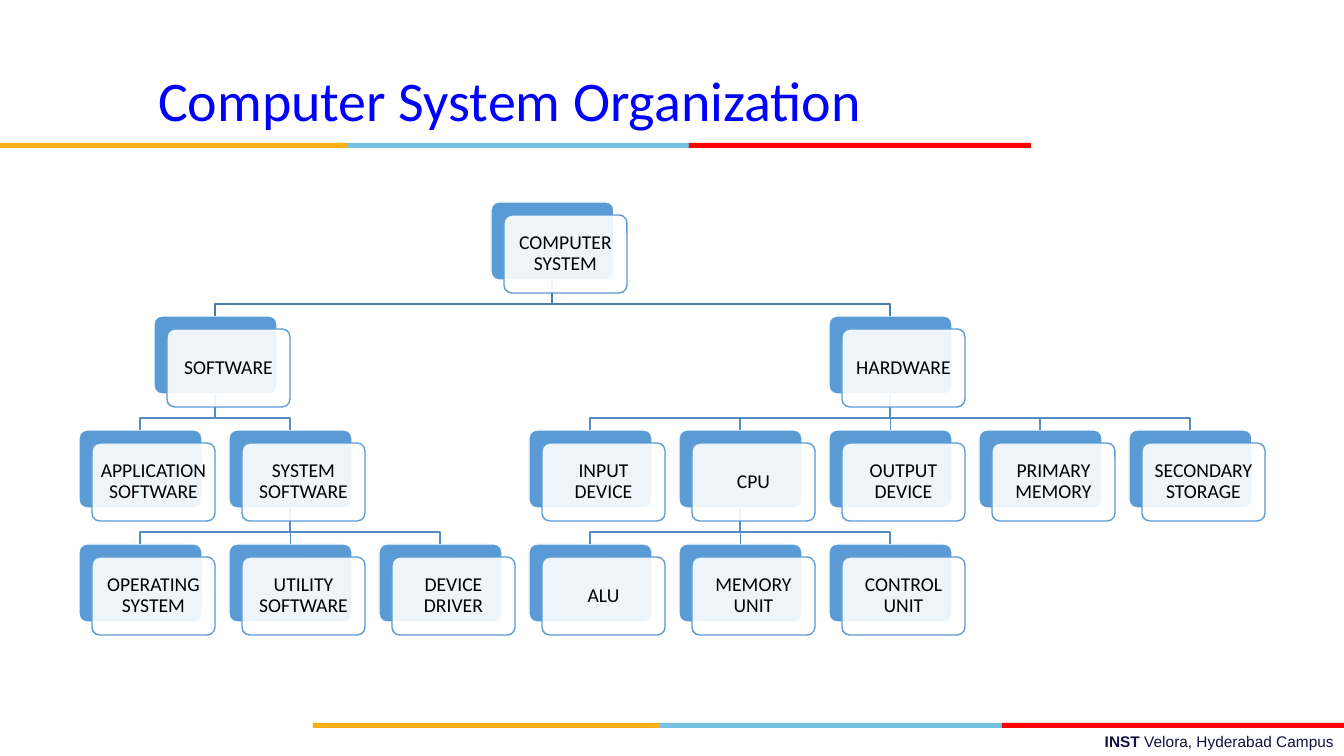
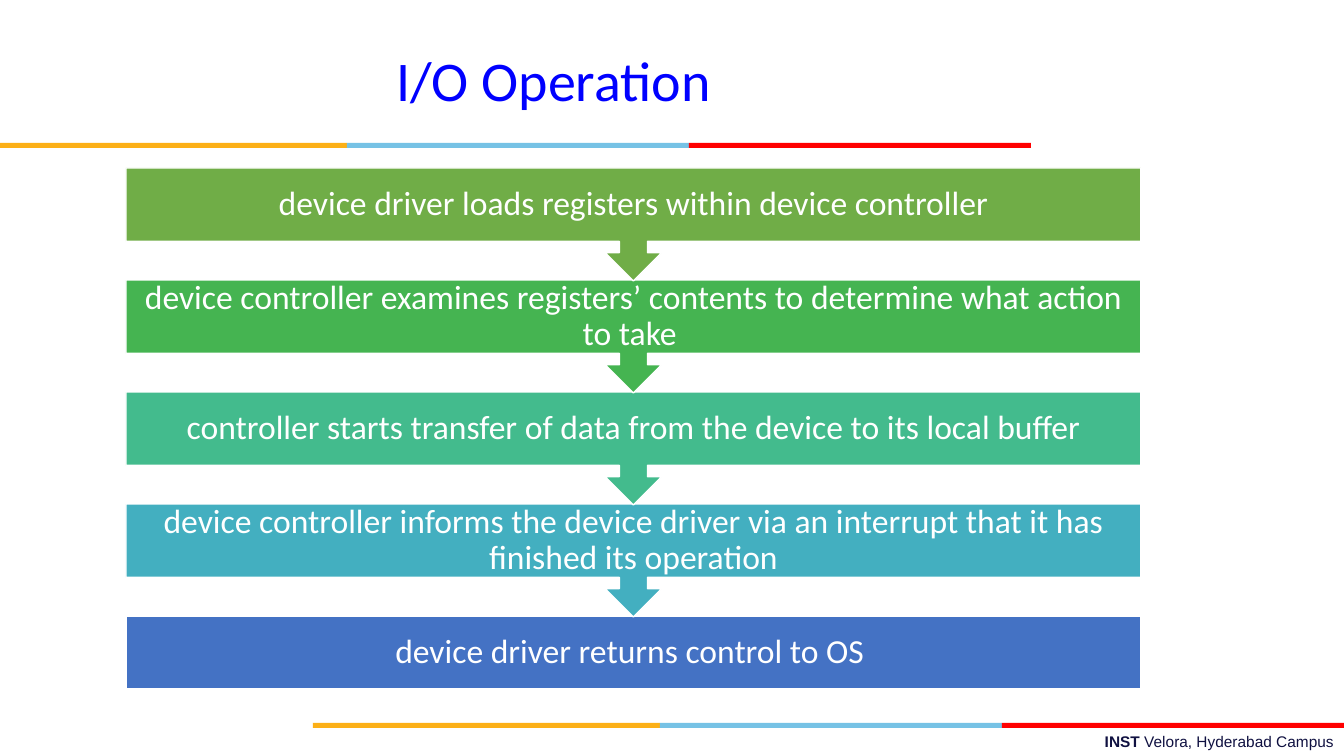
from dataclasses import dataclass

from lxml.etree import SubElement
from pptx import Presentation
from pptx.dml.color import RGBColor as RGB
from pptx.enum.shapes import MSO_CONNECTOR as CONN, MSO_SHAPE as SHAPE
from pptx.enum.text import MSO_ANCHOR as ANCHOR, MSO_AUTO_SIZE as AUTOSIZE, PP_ALIGN as ALIGN
from pptx.oxml.ns import qn
from pptx.util import Pt


@dataclass(frozen=True)
class Theme:
    bands: tuple = (("FCB017", 347), ("76C2E5", 342), ("FF0000", 342))
    steps: tuple = ("70AD47", "45B451", "43BB8D", "43AFC0", "4472C4")
    title: str = "0000FF"
    footer: str = "101141"
    white: str = "FFFFFF"
    black: str = "000000"
    node: str = "5B9BD5"
    top_link: str = "497CAB"
    link: str = "538DC1"
    head_font: str = "Calibri"
    foot_font: str = "Arial"
    title_size: int = 40
    step_size: int = 24
    node_size: int = 14
    foot_size: int = 11


T = Theme()
PX = 914400 / 100.8


def add_box(s, kind, box, fill, line=None):
    sp = s.shapes.add_shape(kind, *(round(v * PX) for v in box))
    sp.shadow.inherit = False
    sp.fill.solid()
    sp.fill.fore_color.rgb = RGB.from_string(fill)
    if line:
        sp.line.color.rgb = RGB.from_string(line)
        sp.line.width = Pt(1)
    else:
        sp.line.fill.background()
    return sp


def add_text(sp, runs, size, color, font=T.head_font, align=ALIGN.CENTER, inset=None, spacing=None):
    tf = sp.text_frame
    tf.word_wrap = True
    tf.auto_size = AUTOSIZE.NONE
    tf.vertical_anchor = ANCHOR.MIDDLE
    if inset is not None:
        tf.margin_left = tf.margin_right = round(inset * PX)
        tf.margin_top = tf.margin_bottom = 0
    p = tf.paragraphs[0]
    p.alignment = align
    if spacing:
        p.line_spacing = spacing
    for text, bold in runs:
        r = p.add_run()
        r.text = text
        r.font.name = font
        r.font.size = Pt(size)
        r.font.bold = bold
        r.font.color.rgb = RGB.from_string(color)


prs = Presentation()
prs.slide_width, prs.slide_height = round(1344 * PX), round(756 * PX)
layout = prs.slide_layouts[5]

# Slides and titles
slides = []
for title, left, top in (("Computer System Organization", 45, 55), ("I/O Operation", 89, 35)):
    s = prs.slides.add_slide(layout)
    sp = s.shapes.title
    sp.left, sp.top, sp.width, sp.height = (round(v * PX) for v in (left, top, 929, 89))
    add_text(sp, [(title, False)], T.title_size, T.title)
    slides.append(s)
chart, flow = slides

# Colour bands and footer, moved to the shared layout
shared = []
for x, y in ((0, 143), (313, 723)):
    for color, width in T.bands:
        shared.append(add_box(chart, SHAPE.RECTANGLE, (x, y, width, 5), color))
        x += width
footer = chart.shapes.add_textbox(*(round(v * PX) for v in (482, 727, 862, 29)))
add_text(footer, [("INST ", True), ("Velora, Hyderabad Campus", False)],
         T.foot_size, T.footer, T.foot_font, ALIGN.RIGHT)
shared.append(footer)
for number, sp in enumerate(shared, 101):
    sp.element.xpath(".//p:cNvPr")[0].set("id", str(number))
    layout.shapes.element.append(sp.element)

# Slide 1: tree nodes as text, column, row, index of parent
NODES = (
    ("COMPUTER SYSTEM", 2.75, 0, None),
    ("SOFTWARE", 0.5, 1, 0),
    ("HARDWARE", 5, 1, 0),
    ("APPLICATION SOFTWARE", 0, 2, 1),
    ("SYSTEM SOFTWARE", 1, 2, 1),
    ("INPUT DEVICE", 3, 2, 2),
    ("CPU", 4, 2, 2),
    ("OUTPUT DEVICE", 5, 2, 2),
    ("PRIMARY MEMORY", 6, 2, 2),
    ("SECONDARY STORAGE", 7, 2, 2),
    ("OPERATING SYSTEM", 0, 3, 4),
    ("UTILITY SOFTWARE", 1, 3, 4),
    ("DEVICE DRIVER", 2, 3, 4),
    ("ALU", 3, 3, 6),
    ("MEMORY UNIT", 4, 3, 6),
    ("CONTROL UNIT", 5, 3, 6),
)
NODE_W, NODE_H = 123, 78
spots = [(79 + int(col * 150), 202 + row * 114) for _, col, row, _ in NODES]

# Back cards
backs = []
for x, y in spots:
    sp = add_box(chart, SHAPE.ROUNDED_RECTANGLE, (x, y, NODE_W, NODE_H), T.node, T.white)
    sp.adjustments[0] = 0.1
    backs.append(sp)

# Links from parent to child
for i, (_, _, row, parent) in enumerate(NODES):
    if parent is None:
        continue
    x1, y1 = spots[parent][0] + NODE_W // 2, spots[parent][1] + NODE_H
    x2, y2 = spots[i][0] + NODE_W // 2, spots[i][1]
    if x1 == x2:
        link = chart.shapes.add_connector(CONN.STRAIGHT, 0, 0, 0, 0)
        link.begin_connect(backs[parent], 2)
        link.end_connect(backs[i], 0)
        SubElement(link.element.spPr, qn("a:effectLst"))
    else:
        bends = [(x1, y1 + 24), (x2, y1 + 24), (x2, y2)]
        fb = chart.shapes.build_freeform(round(x1 * PX), round(y1 * PX))
        fb.add_line_segments([(round(x * PX), round(y * PX)) for x, y in bends], close=False)
        link = fb.convert_to_shape()
        link.shadow.inherit = False
        link.fill.background()
    link.line.color.rgb = RGB.from_string(T.top_link if row == 1 else T.link)
    link.line.width = Pt(1)

# Front cards with the labels
for (label, *_), (x, y) in zip(NODES, spots):
    sp = add_box(chart, SHAPE.ROUNDED_RECTANGLE, (x + 13, y + 13, NODE_W, NODE_H), T.white, T.node)
    sp.adjustments[0] = 0.1
    tint = sp.element.spPr.find(qn("a:solidFill")).find(qn("a:srgbClr"))
    SubElement(tint, qn("a:alpha")).set("val", "90000")
    add_text(sp, [(label, False)], T.node_size, T.black, inset=5, spacing=0.9)

# Slide 2: steps, stacked from the bottom so each arrow lies over the next box
STEPS = (
    "device driver loads registers within device controller",
    "device controller examines registers’ contents to determine what action to take ",
    "controller starts transfer of data from the device to its local buffer",
    "device controller informs the device driver via an interrupt that it has finished its operation",
    "device driver returns control to OS ",
)
last = len(STEPS) - 1
for i in range(last, -1, -1):
    kind, height = (SHAPE.RECTANGLE, 73) if i == last else (SHAPE.DOWN_ARROW_CALLOUT, 113)
    sp = add_box(flow, kind, (126, 168 + i * 112, 1015, height), T.steps[i], T.white)
    add_text(sp, [(STEPS[i], False)], T.step_size, T.white, inset=16, spacing=0.9)

prs.save("out.pptx")
